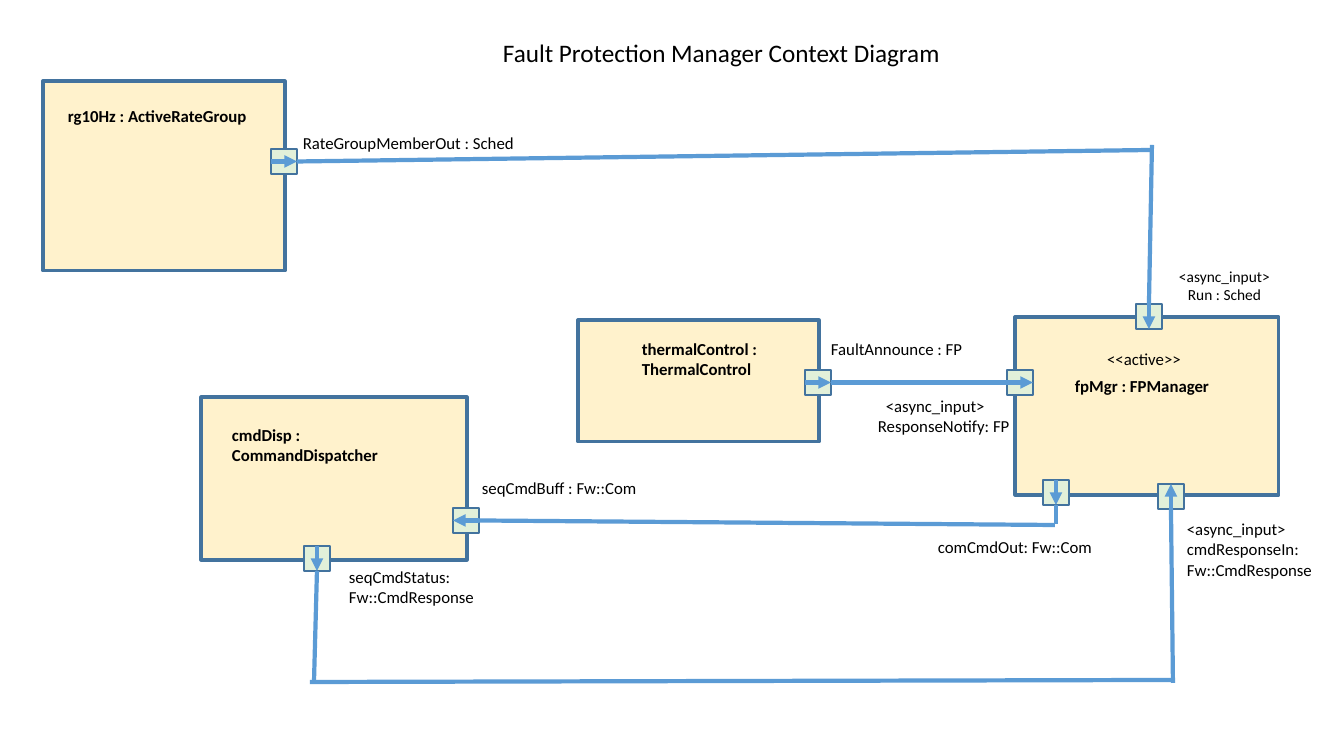
"""Build the Fault Protection Manager context diagram slide."""
from pptx import Presentation
from pptx.dml.color import RGBColor
from pptx.enum.shapes import MSO_CONNECTOR as Connector, MSO_SHAPE as Shape
from pptx.enum.text import MSO_AUTO_SIZE as AutoSize, PP_ALIGN as Align
from pptx.oxml.ns import qn
from pptx.util import Pt
from lxml.etree import SubElement

EMU_PER_PX = 914400 / 100.8
PORT_WIDTH, PORT_HEIGHT = 26, 25
TOP, LEFT, BOTTOM, RIGHT = range(4)
COLORS = {"block": "FFF2CC", "port": "E2F0D9", "border": "43739E",
          "wire": "5B9BD5", "text": "000000"}

BLOCKS = [
    (201, 397, 266, 163),
    (578, 320, 241, 122),
    (43, 81, 242, 190),
    (1015, 317, 264, 178),
]

# name: (left, top, side the arrow starts from, side it points to)
PORTS = {
    "rateGroupOut": (271, 149, LEFT, RIGHT),
    "faultAnnounce": (805, 370, LEFT, RIGHT),
    "responseNotify": (1007, 370, LEFT, RIGHT),
    "run": (1136, 304, TOP, BOTTOM),
    "seqCmdBuff": (453, 508, RIGHT, LEFT),
    "comCmdOut": (1043, 480, TOP, BOTTOM),
    "seqCmdStatus": (304, 546, TOP, BOTTOM),
    "cmdResponseIn": (1158, 484, BOTTOM, TOP),
}

# each end is a point or a (port, side) pair
WIRES = [
    (("rateGroupOut", RIGHT), (1151, 150)),
    ((1152, 145), ("run", TOP)),
    (("faultAnnounce", RIGHT), ("responseNotify", LEFT)),
    (("seqCmdBuff", RIGHT), (1055, 525)),
    (("comCmdOut", BOTTOM), (1056, 524)),
    (("seqCmdStatus", BOTTOM), (314, 682)),
    ((310, 682), (1171, 680)),
    (("cmdResponseIn", BOTTOM), (1173, 683)),
]

# (left, top, width, height), lines, font settings and layout
LABELS = [
    ((493, 32, 473, 40), ["Fault Protection Manager Context Diagram"], {"size": 18}),
    ((222, 420, 235, 50), ["cmdDisp : CommandDispatcher"], {"bold": True}),
    ((632, 334, 144, 50), ["thermalControl : ThermalControl"], {"bold": True}),
    ((58, 101, 217, 30), ["rg10Hz : ActiveRateGroup"], {"bold": True}),
    ((293, 128, 272, 30), ["RateGroupMemberOut : Sched"], {}),
    ((821, 334, 158, 30), ["FaultAnnounce : FP"], {}),
    ((1065, 371, 167, 30), ["fpMgr : FPManager"], {"bold": True}),
    ((853, 391, 185, 50), ["<async_input>", "ResponseNotify: FP"], {"indents": (23, 15)}),
    ((1086, 344, 116, 30), ["<<active>>"], {"align": Align.CENTER}),
    ((1168, 262, 113, 47), ["<async_input>", "Run : Sched"],
     {"size": 11, "align": Align.CENTER}),
    ((472, 473, 210, 30), ["seqCmdBuff : Fw::Com"], {}),
    ((339, 562, 171, 50), ["seqCmdStatus: Fw::CmdResponse"], {}),
    ((1177, 514, 155, 72), ["<async_input>", "cmdResponseIn: Fw::CmdResponse"], {}),
    ((928, 532, 210, 30), ["comCmdOut: Fw::Com"], {}),
]


def px(length):
    return round(length * EMU_PER_PX)


def color(name):
    return RGBColor.from_string(COLORS[name])


def add_box(page, frame, fill, line_width):
    box = page.shapes.add_shape(Shape.RECTANGLE, *map(px, frame))
    box.shadow.inherit = False
    box.fill.solid()
    box.fill.fore_color.rgb = color(fill)
    box.line.color.rgb = color("border")
    box.line.width = Pt(line_width)
    return box


def add_wire(page, ports, start, end, arrow=False):
    points = [(0, 0) if tip[0] in ports else tip for tip in (start, end)]
    wire = page.shapes.add_connector(
        Connector.STRAIGHT, *(px(value) for point in points for value in point))
    for tip, connect in ((start, wire.begin_connect), (end, wire.end_connect)):
        if tip[0] in ports:
            connect(ports[tip[0]], tip[1])
    wire.line.color.rgb = color("wire")
    wire.line.width = Pt(3)
    if arrow:
        SubElement(wire.line._get_or_add_ln(), qn("a:tailEnd"), type="triangle")
    SubElement(wire._element.spPr, qn("a:effectLst"))


def add_label(page, frame, lines, size=12, bold=False, align=Align.LEFT, indents=(0, 0)):
    text = page.shapes.add_textbox(*map(px, frame)).text_frame
    text.word_wrap = True
    text.auto_size = AutoSize.SHAPE_TO_FIT_TEXT
    text.text = "\n".join(lines)
    for para, indent in zip(text.paragraphs, indents):
        para.alignment = align
        para.font.name = "Calibri"
        para.font.size = Pt(size)
        para.font.bold = bold
        para.font.color.rgb = color("text")
        if indent:
            para._p.get_or_add_pPr().set("marL", str(px(indent)))


def main():
    deck = Presentation()
    deck.slide_width, deck.slide_height = px(1344), px(756)
    page = deck.slides.add_slide(deck.slide_layouts[6])
    for frame in BLOCKS:
        add_box(page, frame, "block", 2.25)
    ports = {}
    for name, (left, top, source, target) in PORTS.items():
        ports[name] = add_box(page, (left, top, PORT_WIDTH, PORT_HEIGHT), "port", 1.5)
        add_wire(page, ports, (name, source), (name, target), arrow=True)
    for start, end in WIRES:
        add_wire(page, ports, start, end)
    for frame, lines, settings in LABELS:
        add_label(page, frame, lines, **settings)
    deck.save("out.pptx")


if __name__ == "__main__":
    main()
